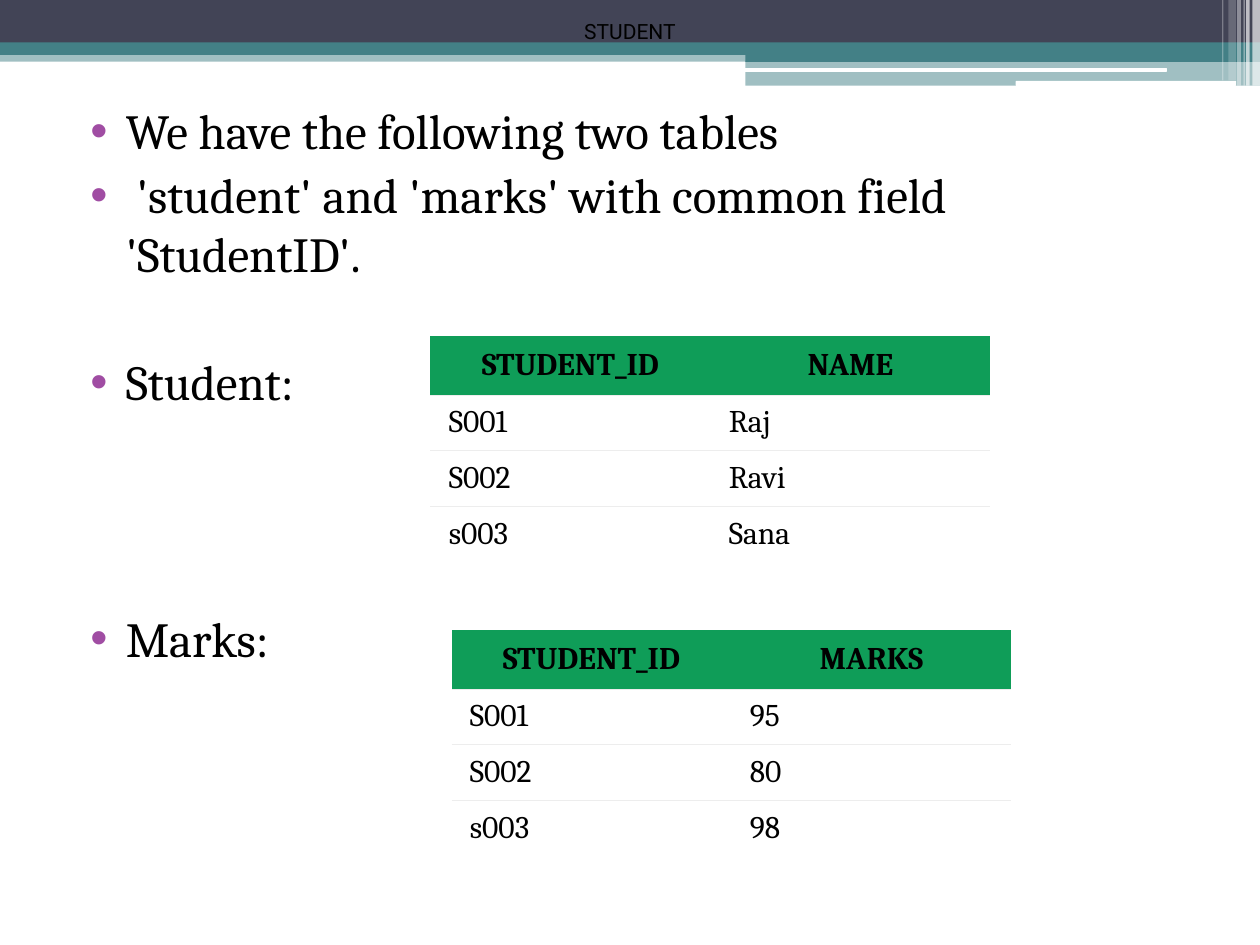
from lxml import etree
from pptx import Presentation
from pptx.dml.color import RGBColor
from pptx.enum.shapes import MSO_SHAPE
from pptx.enum.text import MSO_ANCHOR, PP_ALIGN
from pptx.oxml.ns import qn
from pptx.util import Pt

RECT, ROUNDED = MSO_SHAPE.RECTANGLE, MSO_SHAPE.ROUNDED_RECTANGLE
CENTER, LEFT = PP_ALIGN.CENTER, PP_ALIGN.LEFT
MIDDLE = MSO_ANCHOR.MIDDLE

BLACK = RGBColor(0x00, 0x00, 0x00)
WHITE = RGBColor(0xFF, 0xFF, 0xFF)
SLATE = RGBColor(0x42, 0x44, 0x56)
TEAL = RGBColor(0x43, 0x80, 0x86)
GREEN = RGBColor(0x0F, 0x9D, 0x58)
PURPLE = RGBColor(0xA0, 0x4D, 0xA3)
RULE_GRAY = RGBColor(0xED, 0xED, 0xED)

NO_GRID_STYLE = "{2D5ABB26-0587-4C30-8999-92F81FD0307C}"
COLUMN_WIDTH, HEADER_HEIGHT, ROW_HEIGHT = 160, 33.6, 32

# preset, left, top, width, height, colour, opacity in percent
BANDS = [
    (RECT, 0, 28.8, 720, 6.5, TEAL, 50),
    (RECT, 0, 0, 720, 24.5, SLATE, 100),
    (RECT, 0, 24.2, 720, 7.2, TEAL, 100),
    (RECT, 426, 28.2, 294, 7.2, TEAL, 100),
    (RECT, 426, 34.7, 294, 14.2, TEAL, 50),
    (ROUNDED, 425.6, 38.9, 241.2, 2.2, WHITE, 100),
    (ROUNDED, 580.4, 46.2, 126, 2.9, WHITE, 100),
]
# left, width, height, opacity in percent
STRIPES = [
    (715.7, 4.3, 49, 65),
    (712.1, 2.1, 49, 65),
    (710.6, 0.7, 49, 60),
    (707, 2.1, 49, 40),
    (702, 4.3, 46, 20),
    (698.4, 0.7, 46, 30),
]
# text, space before
BULLETS = [
    ("We have the following two tables", 0),
    (" 'student' and 'marks' with common field 'StudentID'.", 3),
    ("Student:", 39.6),
    ("Marks:", 113),
]
STUDENT_ROWS = [("STUDENT_ID", "NAME"), ("S001", "Raj"), ("S002", "Ravi"), ("s003", "Sana")]
MARKS_ROWS = [("STUDENT_ID", "MARKS"), ("S001", "95"), ("S002", "80"), ("s003", "98")]


def write(paragraph, text, size, font="Cambria", bold=False, align=LEFT, before=0):
    paragraph.alignment = align
    paragraph.space_before = Pt(before)
    run = paragraph.add_run()
    run.text = text
    run.font.size, run.font.name, run.font.bold = Pt(size), font, bold
    run.font.color.rgb = BLACK


def add_band(slide, preset, left, top, width, height, color, opacity):
    band = slide.shapes.add_shape(preset, Pt(left), Pt(top), Pt(width), Pt(height))
    band.shadow.inherit = False
    band.line.fill.background()
    band.fill.solid()
    band.fill.fore_color.rgb = color
    if opacity < 100:
        srgb = band._element.spPr.find(qn("a:solidFill")).find(qn("a:srgbClr"))
        etree.SubElement(srgb, qn("a:alpha"), val=str(opacity * 1000))


def set_bullet(paragraph, indent, hanging):
    props = paragraph._p.get_or_add_pPr()
    props.set("marL", str(Pt(indent)))
    props.set("indent", str(-Pt(hanging)))
    color = etree.SubElement(props, qn("a:buClr"))
    etree.SubElement(color, qn("a:srgbClr"), val=str(PURPLE))
    etree.SubElement(props, qn("a:buFont"), typeface="Arial")
    etree.SubElement(props, qn("a:buChar"), char="•")


def add_rule(cell, side, position):
    """Draw a thin gray border on one side ("lnT" or "lnB") of a cell."""
    line = etree.Element(qn("a:" + side), w=str(Pt(0.34)))
    fill = etree.SubElement(line, qn("a:solidFill"))
    etree.SubElement(fill, qn("a:srgbClr"), val=str(RULE_GRAY))
    cell._tc.get_or_add_tcPr().insert(position, line)


def add_data_table(slide, rows, left, top):
    columns = len(rows[0])
    height = HEADER_HEIGHT + ROW_HEIGHT * (len(rows) - 1)
    table = slide.shapes.add_table(len(rows), columns, Pt(left), Pt(top),
                                   Pt(COLUMN_WIDTH * columns), Pt(height)).table
    table._tbl.tblPr.find(qn("a:tableStyleId")).text = NO_GRID_STYLE
    table.horz_banding = False
    for column in table.columns:
        column.width = Pt(COLUMN_WIDTH)
    for r, values in enumerate(rows):
        header = r == 0
        table.rows[r].height = Pt(HEADER_HEIGHT if header else ROW_HEIGHT)
        for c, value in enumerate(values):
            cell = table.cell(r, c)
            cell.vertical_anchor = MIDDLE
            cell.margin_left = cell.margin_right = Pt(6 if header else 10.5)
            cell.margin_top = cell.margin_bottom = Pt(3.6)
            cell.fill.solid()
            cell.fill.fore_color.rgb = GREEN if header else WHITE
            write(cell.text_frame.paragraphs[0], value, 18, bold=header,
                  align=CENTER if header else LEFT)
            if r < len(rows) - 1:
                add_rule(cell, "lnB", 0)
            if not header:
                add_rule(cell, "lnT", 0)


def main():
    deck = Presentation()
    deck.slide_width, deck.slide_height = Pt(720), Pt(540)
    slide = deck.slides.add_slide(deck.slide_layouts[6])

    for band in BANDS:
        add_band(slide, *band)
    for left, width, height, opacity in STRIPES:
        add_band(slide, RECT, left, 0, width, height, WHITE, opacity)

    body = slide.shapes.add_textbox(Pt(36), Pt(54), Pt(648), Pt(486)).text_frame
    body.word_wrap = True
    for i, (text, before) in enumerate(BULLETS):
        paragraph = body.add_paragraph() if i else body.paragraphs[0]
        set_bullet(paragraph, 28.8, 20.16)
        write(paragraph, text, 28, before=before)

    add_data_table(slide, STUDENT_ROWS, 246, 192)

    caption = slide.shapes.add_textbox(Pt(326.5), Pt(7.2), Pt(67), Pt(21.6)).text_frame
    caption.word_wrap = False
    caption.vertical_anchor = MIDDLE
    write(caption.paragraphs[0], "STUDENT", 12, font="Roboto", align=CENTER)

    add_data_table(slide, MARKS_ROWS, 258, 360)
    deck.save("out.pptx")


if __name__ == "__main__":
    main()
